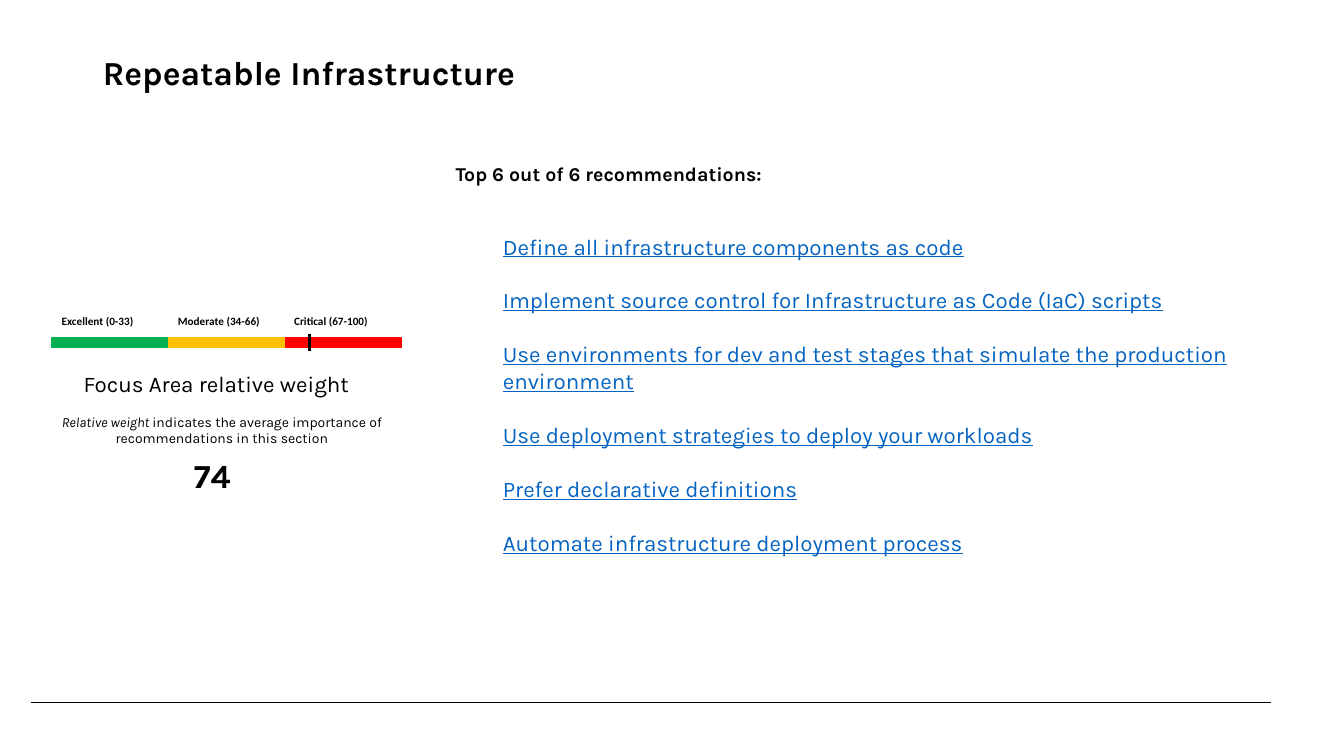
from dataclasses import dataclass
from pptx import Presentation
from pptx.dml.color import RGBColor
from pptx.enum.shapes import MSO_CONNECTOR as Conn, MSO_SHAPE as Geo
from pptx.enum.text import MSO_ANCHOR as Anchor, MSO_AUTO_SIZE as Fit, PP_ALIGN as Align
from pptx.oxml.ns import qn
from pptx.util import Emu, Inches, Pt
from lxml.etree import SubElement

WIDE, HIGH = Inches(13.33), Inches(7.5)
BLACK, BLUE = "000000", "0563C1"
LEFT, STEP = 3.83, 8.7


@dataclass(frozen=True)
class Box:
    left: float
    top: float
    wide: float
    high: float


@dataclass(frozen=True)
class Run:
    text: str
    size: float
    bold: bool = False
    slant: bool = False
    under: bool = False
    tint: str = BLACK
    font: str = "Karla"


@dataclass(frozen=True)
class Block:
    box: Box
    lines: tuple[tuple[Run, ...], ...]
    align: Align = Align.LEFT
    gap: float = 0


@dataclass(frozen=True)
class Band:
    label: str
    tint: str


@dataclass(frozen=True)
class Rule:
    start: tuple[float, float]
    end: tuple[float, float]
    weight: float


TITLE = Block(Box(6.9, 6.13, 82.97, 6.67),
              ((Run("Repeatable Infrastructure", 24, bold=True),),))

LINKS = (
    "Define all infrastructure components as code",
    "Implement source control for Infrastructure as Code (IaC) scripts",
    "Use environments for dev and test stages that simulate the production environment",
    "Use deployment strategies to deploy your workloads",
    "Prefer declarative definitions",
    "Automate infrastructure deployment process",
)

BLOCKS = (
    Block(Box(4.2, 48.27, 23.78, 4.93),
          ((Run("Focus Area relative weight", 16),),), Align.CENTER),
    Block(Box(11.33, 59.47, 8.93, 6.67), ((Run("74", 24, bold=True),),), Align.CENTER),
    Block(Box(33.16, 20.8, 50.41, 4.53),
          ((Run("Top 6 out of 6 recommendations:", 14, bold=True),),)),
    Block(Box(36.68, 30.13, 57.76, 44.4),
          tuple((Run(link, 16, under=True, tint=BLUE),) for link in LINKS), gap=19.3),
    Block(Box(0, 54, 33, 5.87),
          ((Run("Relative weight ", 10, slant=True),
            Run("indicates the average importance of recommendations in this section", 10)),),
          Align.CENTER),
)

BANDS = (
    Band("Excellent (0-33)", "00B050"),
    Band("Moderate (34-66)", "FFC000"),
    Band("Critical (67-100)", "FF0000"),
)

RULES = (
    Rule((2.33, 92.93), (94.6, 92.93), 0.5),
    Rule((23.03, 44), (23.03, 46.4), 2.5),
)


def across(share: float) -> Emu:
    return Emu(round(WIDE * share / 100))


def down(share: float) -> Emu:
    return Emu(round(HIGH * share / 100))


def place(box: Box) -> tuple[Emu, Emu, Emu, Emu]:
    return across(box.left), down(box.top), across(box.wide), down(box.high)


def paint(tint: str) -> RGBColor:
    return RGBColor.from_string(tint)


def add_run(para, run: Run) -> None:
    item = para.add_run()
    item.text = run.text
    font = item.font
    font.name, font.size = run.font, Pt(run.size)
    font.bold, font.italic, font.underline = run.bold, run.slant, run.under
    font.color.rgb = paint(run.tint)


def write(shape, block: Block) -> None:
    frame = shape.text_frame
    frame.word_wrap = True
    frame.auto_size = Fit.SHAPE_TO_FIT_TEXT
    frame.vertical_anchor = Anchor.TOP
    for spot, line in enumerate(block.lines):
        para = frame.add_paragraph() if spot else frame.paragraphs[0]
        para.alignment = block.align
        para.space_before = Pt(block.gap if spot else 0)
        for run in line:
            add_run(para, run)


def draw_title(slide, block: Block) -> None:
    title = slide.shapes.title
    title.left, title.top, title.width, title.height = place(block.box)
    write(title, block)


def draw_block(slide, block: Block) -> None:
    write(slide.shapes.add_textbox(*place(block.box)), block)


def draw_band(slide, band: Band, spot: int) -> None:
    box = Box(LEFT + spot * STEP, 44.73, 8.63, 1.2)
    bar = slide.shapes.add_shape(Geo.RECTANGLE, *place(box))
    bar.shadow.inherit = False
    bar.fill.solid()
    bar.fill.fore_color.rgb = paint(band.tint)
    bar.line.color.rgb = paint(band.tint)
    bar.line.width = Pt(1)


def draw_rule(slide, rule: Rule) -> None:
    (x1, y1), (x2, y2) = rule.start, rule.end
    line = slide.shapes.add_connector(
        Conn.STRAIGHT, across(x1), down(y1), across(x2), down(y2))
    line.line.color.rgb = paint(BLACK)
    line.line.width = Pt(rule.weight)
    SubElement(line._element.spPr, qn("a:effectLst"))


def draw_scale(slide, bands: tuple[Band, ...]) -> None:
    box = Box(LEFT, 40.93, 25.96, 2.8)
    table = slide.shapes.add_table(1, len(bands), *place(box)).table
    table.first_row = table.horz_banding = False
    for cell, band in zip(table.rows[0].cells, bands):
        cell.fill.background()
        add_run(cell.text_frame.paragraphs[0],
                Run(band.label, 8, bold=True, font="Calibri"))


def main() -> None:
    deck = Presentation()
    deck.slide_width, deck.slide_height = WIDE, HIGH
    slide = deck.slides.add_slide(deck.slide_layouts.get_by_name("Title Only"))
    draw_title(slide, TITLE)
    for block in BLOCKS:
        draw_block(slide, block)
    for spot, band in enumerate(BANDS):
        draw_band(slide, band, spot)
    for rule in RULES:
        draw_rule(slide, rule)
    draw_scale(slide, BANDS)
    deck.save("out.pptx")


if __name__ == "__main__":
    main()
